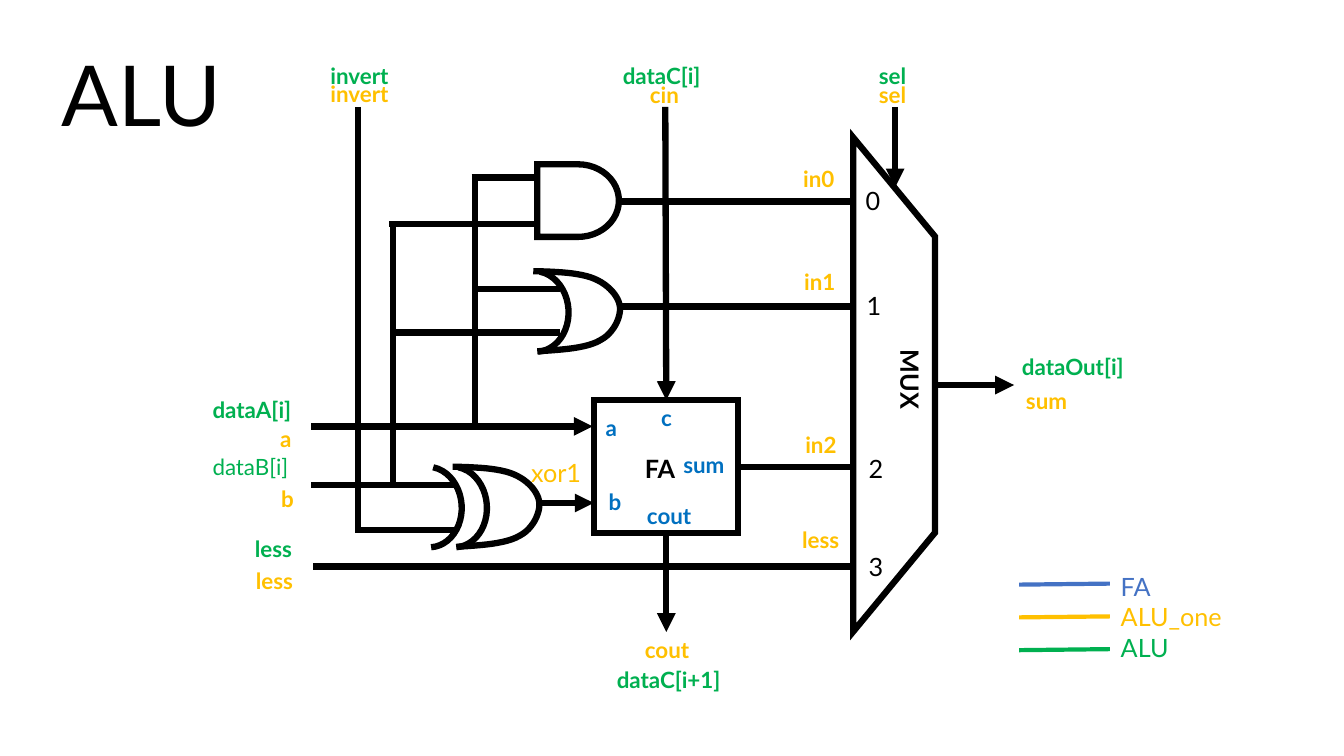
from dataclasses import dataclass

from lxml import etree
from pptx import Presentation, util as u
from pptx.dml.color import RGBColor
from pptx.enum import shapes, text
from pptx.oxml.ns import qn

CELL = u.Inches(0.1)
COLUMNS, ROWS = 133.33, 75


@dataclass(frozen=True)
class Theme:
    font: str = "Lato"
    ink: str = "000000"
    alu: str = "00B050"
    alu_one: str = "FFC000"
    adder: str = "0070C0"
    key_blue: str = "4472C4"
    title: int = 60
    large: int = 18
    small: int = 16
    stroke: float = 4.5
    key_stroke: float = 3


def grid(*cells):
    return [round(c * CELL) for c in cells]


def bezier(p0, p1, p2, p3, steps=12):
    for i in range(1, steps + 1):
        t = i / steps
        yield tuple((1 - t) ** 3 * a + 3 * (1 - t) ** 2 * t * b
                    + 3 * (1 - t) * t ** 2 * c + t ** 3 * d
                    for a, b, c, d in zip(p0, p1, p2, p3))


class Diagram:
    def __init__(self, slide, theme):
        self.slide, self.theme = slide, theme
        self.shapes = slide.shapes

    def group(self):
        self.shapes = self.slide.shapes.add_group_shape().shapes

    def style(self, p, size, color, bold=False):
        p.font.name, p.font.size, p.font.bold = self.theme.font, u.Pt(size), bold
        p.font.color.rgb = RGBColor.from_string(color)

    def stroke(self, sp, color, width):
        sp.line.color.rgb = RGBColor.from_string(color)
        sp.line.width = u.Pt(width)
        ln = sp.line._get_or_add_ln()
        etree.SubElement(ln, qn("a:miter"), lim="800000")
        return ln

    def title(self, words, *box):
        sp = self.slide.shapes.title
        sp.left, sp.top, sp.width, sp.height = grid(*box)
        tf = sp.text_frame
        tf.text = words
        tf.auto_size = text.MSO_AUTO_SIZE.NONE
        tf.vertical_anchor = text.MSO_ANCHOR.BOTTOM
        p = tf.paragraphs[0]
        p.alignment, p.line_spacing = text.PP_ALIGN.CENTER, 0.9
        self.style(p, self.theme.title, self.theme.ink)

    def outline(self, sp):
        sp.shadow.inherit = False
        sp.fill.background()
        self.stroke(sp, self.theme.ink, self.theme.stroke)

    def shape(self, kind, *box, rotation=0, adjust=()):
        sp = self.shapes.add_shape(kind, *grid(*box))
        sp.rotation = rotation
        for i, value in enumerate(adjust):
            sp.adjustments[i] = value
        self.outline(sp)

    def arc(self, left, top):
        self.shape(shapes.MSO_SHAPE.ARC, left, top, 8, 6.6,
                   rotation=86.2, adjust=(114.38, 0))

    def gate_nose(self, left, top):
        curve = [(0, 0), (2.35, 0.05), (4.65, 0.15), (6.05, 0.75),
                 (7.5, 1.35), (8.5, 2.55), (8.6, 3.55),
                 (8.7, 4.55), (8, 6.15), (6.65, 6.85),
                 (5.3, 7.65), (2.85, 7.8), (0.4, 7.95)]
        points = [grid(left + x, top + y) for i in range(0, 12, 3)
                  for x, y in bezier(*curve[i:i + 4])]
        fb = self.shapes.build_freeform(*grid(left, top))
        fb.add_line_segments(points, close=False)
        self.outline(fb.convert_to_shape())

    def wire(self, x1, y1, x2, y2, arrow=False, color=None, width=None):
        sp = self.shapes.add_connector(shapes.MSO_CONNECTOR.STRAIGHT,
                                       *grid(x1, y1, x2, y2))
        ln = self.stroke(sp, color or self.theme.ink, width or self.theme.stroke)
        if arrow:
            etree.SubElement(ln, qn("a:tailEnd"), type="triangle")
        etree.SubElement(sp._element.spPr, qn("a:effectLst"))

    def label(self, lines, left, top, width, size, bold=True, rotation=0):
        height = (size * 1.2 * len(lines) + 7.2) / 7.2
        sp = self.shapes.add_textbox(*grid(left, top, width, height))
        sp.rotation = rotation
        tf = sp.text_frame
        tf.word_wrap = True
        for i, (words, color) in enumerate(lines):
            p = tf.add_paragraph() if i else tf.paragraphs[0]
            p.text = words
            self.style(p, size, color, bold)


theme = Theme()
prs = Presentation()
prs.slide_width, prs.slide_height = grid(COLUMNS, ROWS)
s = Diagram(prs.slides.add_slide(prs.slide_layouts[5]), theme)
s.title("ALU", 3, 0.4, 22.1, 14.5)

s.group()
s.shape(shapes.MSO_SHAPE.RECTANGLE, 58.9, 39.7, 14.3, 13.2)
s.shape(shapes.MSO_SHAPE.FLOWCHART_MANUAL_OPERATION, 64.2, 34.1, 49, 8.1, rotation=270)
s.shape(shapes.MSO_SHAPE.FLOWCHART_DELAY, 53.3, 16.3, 8.1, 7.2)
for left, top in ((44.9, 46.3), (52.9, 26.9)):
    s.gate_nose(left, top)
for left, top in ((41, 47), (38.5, 47), (49.1, 27.6)):
    s.arc(left, top)

MUX_LEFT, A_TAP, B_TAP, INVERT = 84.7, 47.1, 39, 35.5
arrows = [(66, 10.6, 66.1, 39.7), (66.1, 52.9, 66.1, 62.7),
          (92.8, 38.2, 100.6, 38.2), (30.9, 42.3, 58.8, 42.3),
          (53.6, 49.9, 58.9, 49.9), (88.8, 10.6, 88.8, 18.6)]
mux_inputs = [(x, y, MUX_LEFT, y)
              for x, y in ((61.4, 20), (61.4, 30.4), (73.3, 46.3), (31.1, 56.2))]
taps = [(A_TAP, 42.3, A_TAP, 17.6), (A_TAP - 0.3, 17.6, 53.6, 17.6),
        (A_TAP, 28.7, 55.6, 28.7), (30.9, 48.1, 45.3, 48.1),
        (B_TAP, 48.1, B_TAP, 22.2), (B_TAP - 0.4, 22.2, 53.3, 22.2),
        (B_TAP, 33, 55.6, 33), (INVERT, 10.6, INVERT, 52.9),
        (INVERT, 52.6, 45.3, 52.6)]
for ends in arrows:
    s.wire(*ends, arrow=True)
for ends in mux_inputs + taps:
    s.wire(*ends)

signals = {
    theme.alu: [("dataA[i]", 20.1, 38.8, 11.5), ("dataC[i]", 60.8, 5.7, 11.3),
                ("invert", 31.8, 5.7, 8.9), ("less", 24.3, 52.6, 6.4),
                ("sel", 86.2, 5.7, 5.1), ("dataC[i+1]", 60.2, 65.6, 15.2),
                ("dataOut[i]", 100.4, 34.5, 12.8)],
    theme.alu_one: [("in0", 78.7, 15.9, 6.4), ("in1", 78.8, 26.1, 6.1),
                    ("in2", 78.9, 42.3, 6.1), ("cout", 63, 62.6, 7.7),
                    ("cin", 63.5, 7.6, 5.4), ("sum", 100.8, 37.9, 6.9),
                    ("a", 26.8, 41.7, 3.3), ("b", 26.9, 47.6, 3.3),
                    ("less", 24.4, 55.8, 6.4), ("invert", 31.8, 7.5, 8.9),
                    ("sel", 86.2, 7.6, 5.1), ("less", 78.6, 51.7, 6.4)],
    theme.adder: [("sum", 66.8, 44.3, 6.9), ("c", 64.6, 39.6, 3.3),
                  ("b", 59.4, 47.9, 3.5), ("cout", 63.2, 49.3, 6.9),
                  ("a", 59.1, 40.6, 3.3)],
}
for color, labels in signals.items():
    for words, *place in labels:
        s.label([(words, color)], *place, theme.small)
s.label([("dataB[i]", theme.alu)], 20.1, 44.5, 11.5, theme.small, bold=False)
s.label([("xor1", theme.alu_one)], 51.7, 44.9, 7.8, theme.large, bold=False)
s.label([("FA", theme.ink)], 63, 44.5, 6.9, theme.large)
s.label([("MUX", theme.ink)], 86, 36, 8.6, theme.large, rotation=90)
for number, (left, top) in enumerate(((84.9, 17.9), (85, 28.3), (85.2, 44.5), (85.2, 54.2))):
    s.label([(str(number), theme.ink)], left, top, 3.7, theme.large, bold=False)

s.group()
key = [("FA", theme.key_blue), ("ALU_one", theme.alu_one), ("ALU", theme.alu)]
for row, (_, color) in enumerate(key):
    y = 58 + 3.25 * row
    s.wire(101.1, y, 110.1, y - 0.1, color=color, width=theme.key_stroke)
s.label(key, 110.2, 56.2, 13.4, theme.large, bold=False)

prs.save("out.pptx")
